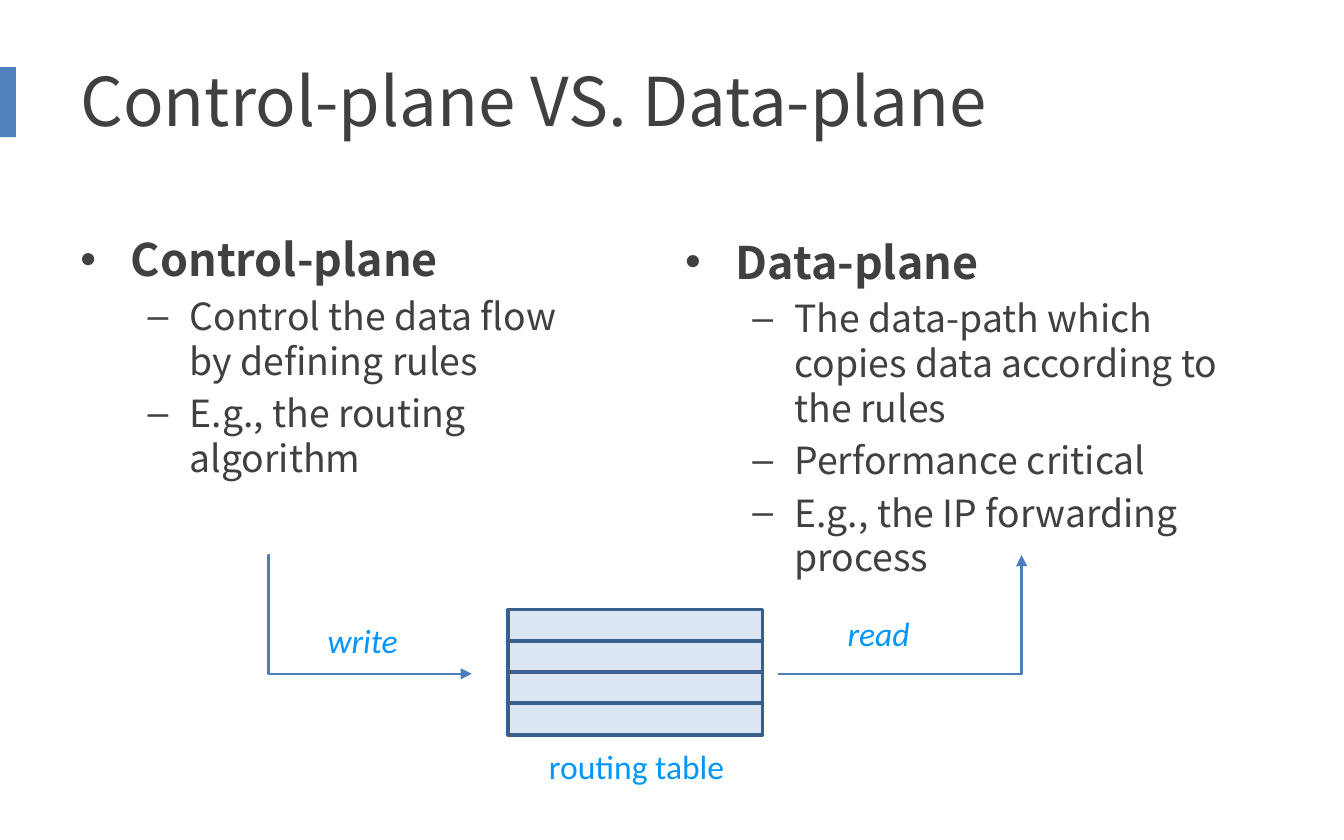
from lxml import etree
from pptx import Presentation
from pptx.dml.color import RGBColor
from pptx.enum.shapes import MSO_CONNECTOR as Connector, MSO_SHAPE as Shape
from pptx.enum.text import MSO_ANCHOR as Anchor
from pptx.oxml.ns import qn
from pptx.util import Pt

HEADING_FORMAT = {"size": Pt(24), "bold": True}
POINT_FORMAT = {"size": Pt(20), "bold": False}


def color(hex_value):
    return RGBColor.from_string(hex_value)


class SlideBuilder:
    body_font, label_font = "Noto Sans CJK SC", "Calibri"
    text_color, label_color = "404040", "0096FF"
    accent, arrow_color = "4F81BD", "4B7EBC"
    row_fill, row_line = "DCE6F2", "3A5F8C"

    def __init__(self, slide):
        self.slide = slide

    def text_frame(self, left, top, width, height, wrap=True):
        box = self.slide.shapes.add_textbox(Pt(left), Pt(top), Pt(width), Pt(height))
        box.text_frame.word_wrap = wrap
        return box.text_frame

    def add_text(self, paragraph, text, name, hex_value, **format_values):
        run = paragraph.add_run()
        run.text = text
        run.font.color.rgb = color(hex_value)
        for key, value in {"name": name, **format_values}.items():
            setattr(run.font, key, value)

    def title(self, text, *bounds):
        frame = self.text_frame(*bounds)
        frame.vertical_anchor = Anchor.MIDDLE
        self.add_text(frame.paragraphs[0], text, self.body_font, self.text_color, size=Pt(36))

    def bullet(self, paragraph, character, indent, hanging):
        """Give the paragraph a bullet with a hanging indent."""
        properties = paragraph._p.get_or_add_pPr()
        properties.set("marL", str(Pt(indent)))
        properties.set("indent", str(-Pt(hanging)))
        etree.SubElement(properties, qn("a:buFont")).set("typeface", "Arial")
        etree.SubElement(properties, qn("a:buChar")).set("char", character)

    def column(self, heading, points, *bounds):
        frame = self.text_frame(*bounds)
        paragraph = frame.paragraphs[0]
        self.bullet(paragraph, "•", 27, 27)
        self.add_text(paragraph, heading, self.body_font, self.text_color, **HEADING_FORMAT)
        for point in points:
            paragraph = frame.add_paragraph()
            paragraph.level = 1
            self.bullet(paragraph, "–", 58.5, 22.5)
            paragraph.space_before = Pt(4)
            self.add_text(paragraph, point, self.body_font, self.text_color, **POINT_FORMAT)

    def label(self, text, *bounds, italic=False):
        frame = self.text_frame(*bounds, wrap=False)
        self.add_text(frame.paragraphs[0], text, self.label_font, self.label_color,
                      size=Pt(18), italic=italic)

    def rectangle(self, left, top, width, height, fill, line=None):
        shape = self.slide.shapes.add_shape(
            Shape.RECTANGLE, Pt(left), Pt(top), Pt(width), Pt(height))
        shape.shadow.inherit = False
        shape.fill.solid()
        shape.fill.fore_color.rgb = color(fill)
        if line:
            shape.line.color.rgb = color(line)
            shape.line.width = Pt(2)
        else:
            shape.line.fill.background()

    def elbow_arrow(self, start, end, bend):
        """Draw a bent arrow; bend is the turn's place in 1/100000 of the width."""
        arrow = self.slide.shapes.add_connector(
            Connector.ELBOW, *(Pt(value) for value in (*start, *end)))
        arrow.line.color.rgb = color(self.arrow_color)
        arrow.line.width = Pt(1.25)
        properties = arrow._element.spPr
        geometry = properties.find(qn("a:prstGeom"))
        guides = geometry.find(qn("a:avLst"))
        if guides is None:
            guides = etree.SubElement(geometry, qn("a:avLst"))
        guide = etree.SubElement(guides, qn("a:gd"))
        guide.set("name", "adj1")
        guide.set("fmla", f"val {bend}")
        etree.SubElement(properties.find(qn("a:ln")), qn("a:tailEnd")).set("type", "triangle")
        etree.SubElement(properties, qn("a:effectLst"))


def main():
    presentation = Presentation()
    presentation.slide_width, presentation.slide_height = Pt(720), Pt(450)
    builder = SlideBuilder(presentation.slides.add_slide(presentation.slide_layouts[6]))

    builder.rectangle(0, 36, 8.5, 37.5, builder.accent)
    builder.title("Control-plane VS. Data-plane", 36, 18, 648, 70.5)
    builder.column("Control-plane",
                   ["Control the data flow by defining rules",
                    "E.g., the routing algorithm"],
                   36, 120.7, 284.5, 324)
    builder.column("Data-plane",
                   ["The data-path which copies data according to the rules",
                    "Performance critical",
                    "E.g., the IP forwarding process"],
                   360, 122, 324, 324)

    for row in range(4):
        builder.rectangle(272.3, 326.6 + 16.7 * row, 136.2, 17,
                          builder.row_fill, builder.row_line)
    builder.elbow_arrow((144.5, 297.4), (252.7, 361), -600)
    builder.elbow_arrow((416.9, 361), (547.2, 297.4), 100100)
    builder.label("write", 168.5, 328.5, 52.5, 29, italic=True)
    builder.label("read", 447, 325, 48, 29, italic=True)
    builder.label("routing table", 287, 396, 109.5, 29)

    presentation.save("out.pptx")


if __name__ == "__main__":
    main()
